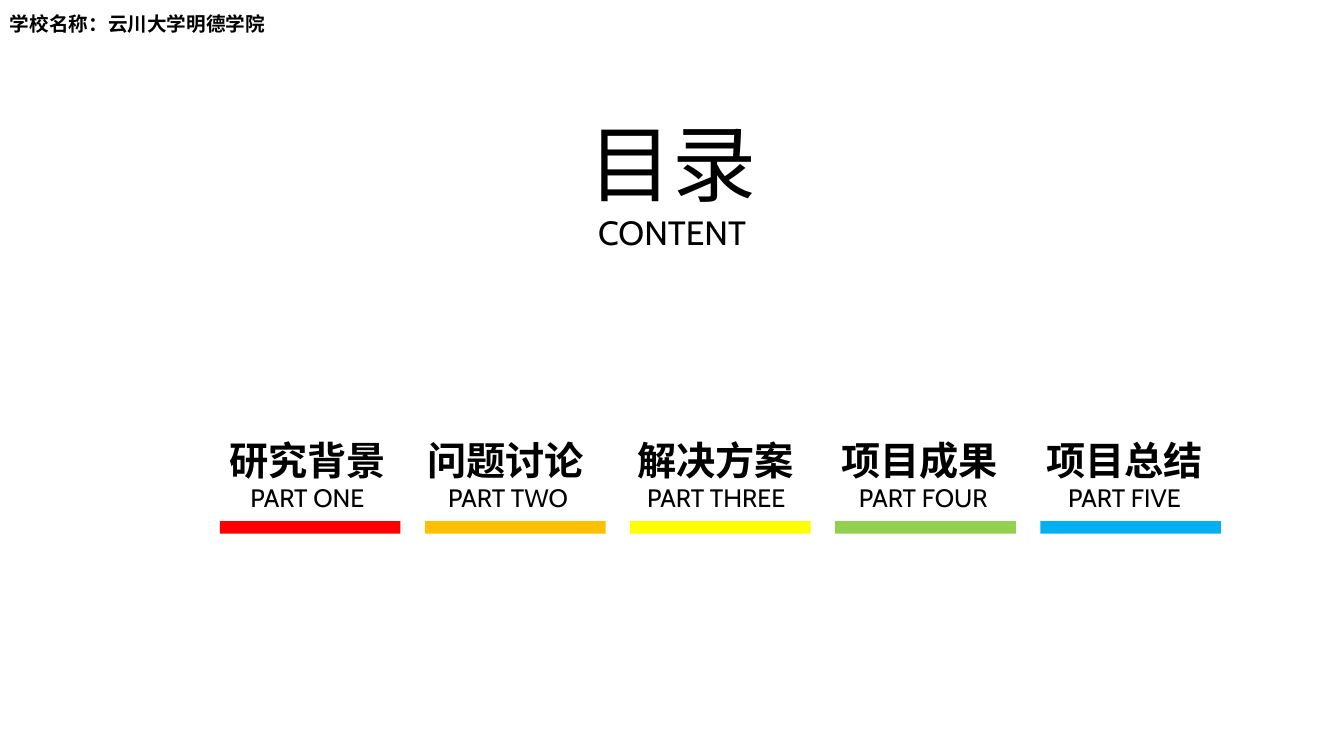
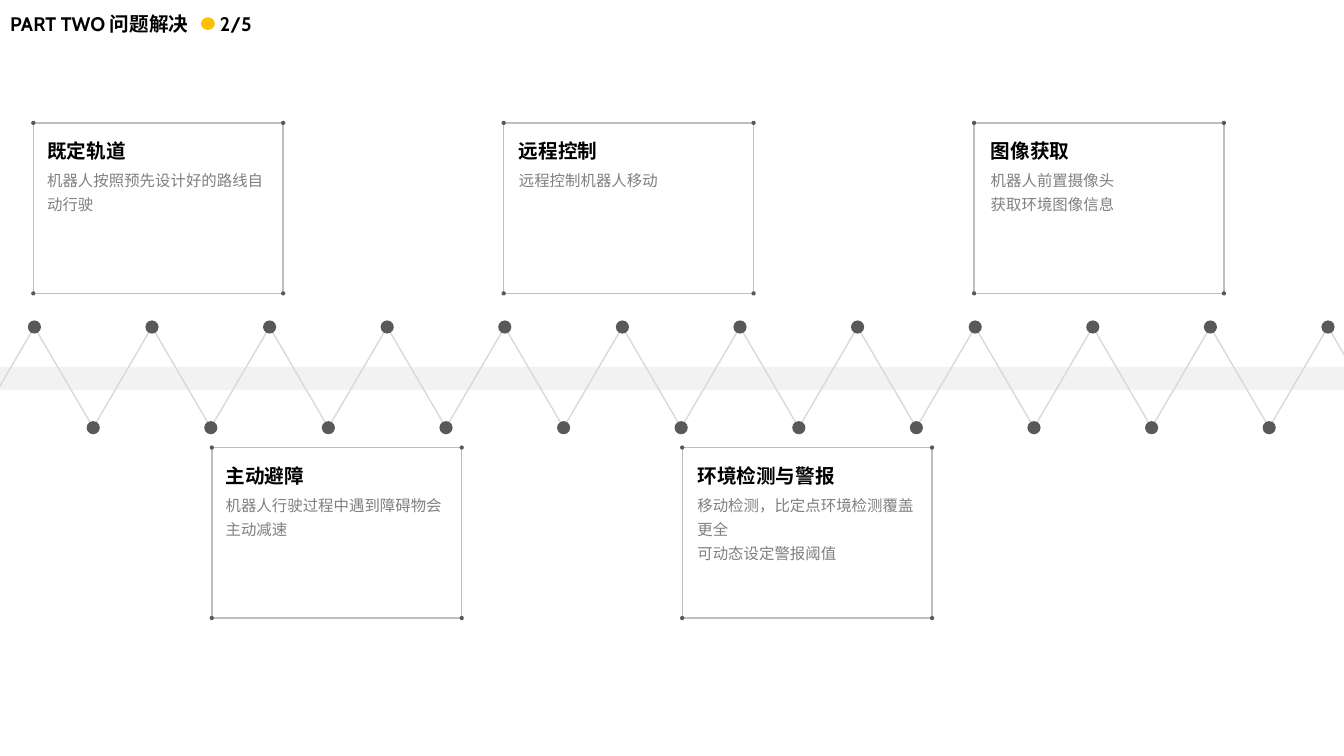
import pptx
import pptx.util
import pptx.dml.color
import pptx.enum.shapes
import pptx.enum.text
import pptx.oxml.ns
import lxml.etree

Pt = pptx.util.Pt
Shape = pptx.enum.shapes.MSO_SHAPE
Align = pptx.enum.text.PP_ALIGN

# Shared style
WIDTH, HEIGHT = 960, 540
LATIN, CHINESE = "Cabin", "Noto Sans CJK SC"
BLACK, GREY, DARK = "000000", "808080", "595959"
BORDER, ZIGZAG, BAND = "BFBFBF", "D9D9D9", "F2F2F2"
AMBER = "FFC000"
HEADER = dict(size=14, bold=True, wrap=False)
HEADER_TOP, HEADER_HEIGHT = 5, 24.5

# Contents slide: name, part, colour, centre of name, centre of part
SCHOOL = "学校名称：云川大学明德学院"
CHAPTERS = [
    ("研究背景", "PART ONE", "FF0000", 219.6, 219.6),
    ("问题讨论", "PART TWO", AMBER, 361.2, 362.9),
    ("解决方案", "PART THREE", "FFFF00", 511.2, 511.6),
    ("项目成果", "PART FOUR", "92D050", 656.9, 659.5),
    ("项目总结", "PART FIVE", "00B0F0", 803.2, 803.2),
]

# Solutions slide: cards above and below the zigzag
UPPER_CARDS = [
    ("既定轨道", ["机器人按照预先设计好的路线自动行驶"]),
    ("远程控制", ["远程控制机器人移动"]),
    ("图像获取", ["机器人前置摄像头", "获取环境图像信息"]),
]
LOWER_CARDS = [
    ("主动避障", ["机器人行驶过程中遇到障碍物会主动减速"]),
    ("环境检测与警报", ["移动检测，比定点环境检测覆盖更全", "可动态设定警报阈值"]),
]


def color(value):
    return pptx.dml.color.RGBColor.from_string(value)


def write(box, lines, size=14, bold=False, font=LATIN, ink=BLACK,
          align=Align.LEFT, spacing=1.0, wrap=True):
    """Fill a box with paragraphs; size is one number or one per line."""
    frame = box.text_frame
    frame.word_wrap = wrap
    frame.auto_size = pptx.enum.text.MSO_AUTO_SIZE.NONE
    frame.vertical_anchor = pptx.enum.text.MSO_ANCHOR.TOP
    sizes = size if isinstance(size, list) else [size] * len(lines)
    for number, (line, points) in enumerate(zip(lines, sizes)):
        para = frame.add_paragraph() if number else frame.paragraphs[0]
        para.alignment = align
        para.line_spacing = spacing
        span = para.add_run()
        span.text = line
        span.font.size = Pt(points)
        span.font.bold = bold
        span.font.name = font
        span.font.color.rgb = color(ink)
        east_asian = lxml.etree.SubElement(
            span.font._element, pptx.oxml.ns.qn("a:ea"))
        east_asian.set("typeface", CHINESE)


def place(box, left, top, width, height):
    box.left, box.top = Pt(left), Pt(top)
    box.width, box.height = Pt(width), Pt(height)


def add_text(page, left, top, width, height, lines, **style):
    box = page.shapes.add_textbox(Pt(left), Pt(top), Pt(width), Pt(height))
    write(box, lines, **style)


def add_title(page, left, top, width, height, lines, **style):
    place(page.shapes.title, left, top, width, height)
    write(page.shapes.title, lines, **style)


def paint(shape, fill=None, line=None):
    shape.shadow.inherit = False
    if fill:
        shape.fill.solid()
        shape.fill.fore_color.rgb = color(fill)
    else:
        shape.fill.background()
    if line:
        shape.line.color.rgb = color(line)
        shape.line.width = Pt(1)
    else:
        shape.line.fill.background()


def add_box(page, kind, left, top, width, height, **look):
    paint(page.shapes.add_shape(kind, Pt(left), Pt(top), Pt(width), Pt(height)), **look)


def add_dot(page, x, y, size):
    add_box(page, Shape.OVAL, x - size / 2, y - size / 2, size, size, fill=DARK)


def build_contents(page):
    add_title(page, 412.4, 76, 135.4, 108.7, ["目录", "CONTENT"],
              size=[60, 24], align=Align.CENTER, wrap=False)
    add_text(page, 0, HEADER_TOP, 198, HEADER_HEIGHT, [SCHOOL], **HEADER)
    label_width = 138
    for column, (name, part, hue, name_x, part_x) in enumerate(CHAPTERS):
        add_text(page, part_x - label_width / 2, 334.8, label_width, 35, [part],
                 size=18, align=Align.CENTER, spacing=1.3)
        add_text(page, name_x - label_width / 2, 298, label_width, 47, [name],
                 size=28, bold=True, align=Align.CENTER, spacing=1.3)
        add_box(page, Shape.RECTANGLE, 157.1 + 146.5 * column, 372.2, 129, 9, fill=hue)


def add_zigzag(page):
    add_box(page, Shape.RECTANGLE, 0, 262, WIDTH, 16.6, fill=BAND)
    # Peaks at even steps, valleys at odd ones
    points = [(24.6 + 42 * step, 305.5 if step % 2 else 233.6) for step in range(-1, 24)]
    outline = page.shapes.build_freeform(
        Pt(points[0][0]), Pt(points[0][1]), scale=1.0)
    outline.add_line_segments([(Pt(x), Pt(y)) for x, y in points[1:]], close=False)
    paint(outline.convert_to_shape(), line=ZIGZAG)
    for x, y in points[1:-1]:
        add_dot(page, x, y, 9.4)


def add_card(page, left, top, text_left, heading, lines):
    width, height = 178.5, 121.8
    add_box(page, Shape.RECTANGLE, left, top, width, height, line=BORDER)
    for x in (left, left + width):
        for y in (top, top + height):
            add_dot(page, x, y, 3)
    add_text(page, text_left, top + 7.8, 120, 24.5, [heading], **HEADER)
    add_text(page, text_left, top + 27.2, 172, 58, lines, size=11,
             font=CHINESE, ink=GREY, spacing=1.3)


def build_solutions(page):
    # The title box ends where the page count begins
    count_left = 150
    add_title(page, 0, HEADER_TOP, count_left, HEADER_HEIGHT,
              ["PART TWO 问题解决"], **HEADER)
    add_box(page, Shape.OVAL, 143.5, 12.4, 10, 9, fill=AMBER)
    add_text(page, count_left, HEADER_TOP, 40, HEADER_HEIGHT, ["2/5"], **HEADER)
    add_zigzag(page)
    for cards, shift, top in ((UPPER_CARDS, 0, 87.8), (LOWER_CARDS, 127.5, 319.7)):
        for column, (heading, lines) in enumerate(cards):
            add_card(page, 23.8 + shift + 336 * column, top,
                     26.6 + shift + 337 * column, heading, lines)


def main():
    deck = pptx.Presentation()
    deck.slide_width, deck.slide_height = Pt(WIDTH), Pt(HEIGHT)
    title_only = deck.slide_layouts[5]
    for build in (build_contents, build_solutions):
        build(deck.slides.add_slide(title_only))
    deck.save("out.pptx")


if __name__ == "__main__":
    main()
